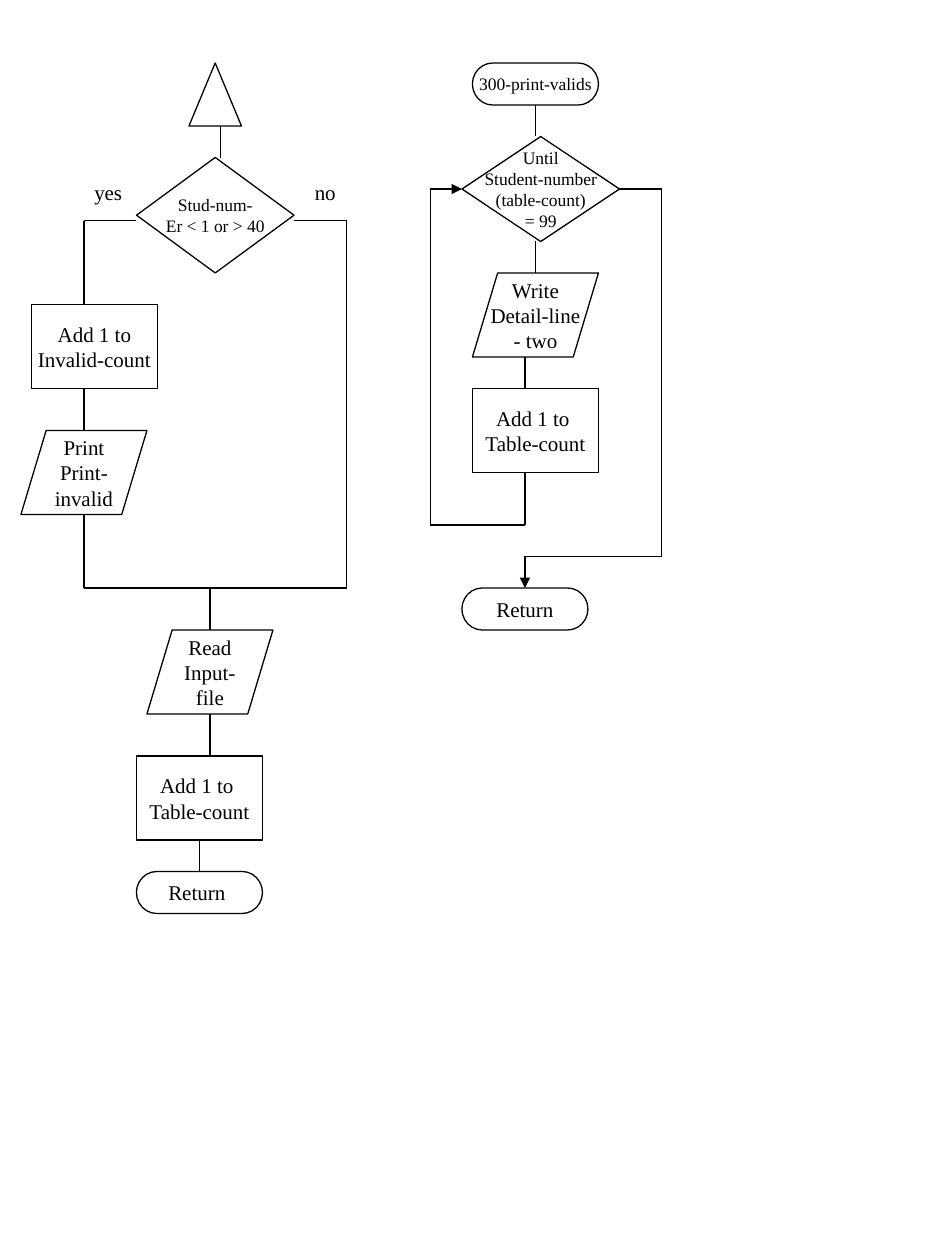
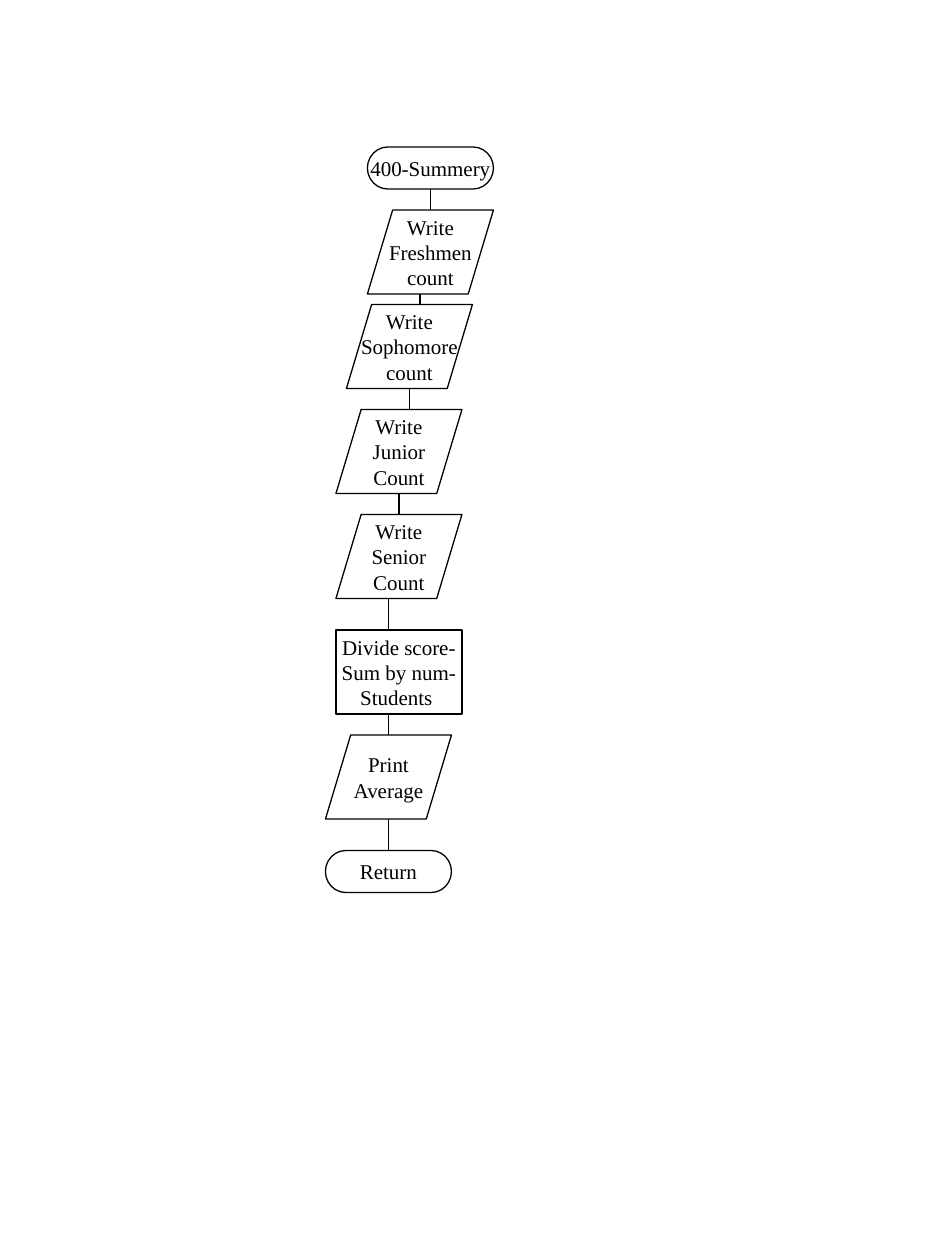
from lxml import etree
from pptx import Presentation
from pptx import util as u
from pptx.dml.color import RGBColor
from pptx.enum import shapes, text
from pptx.oxml import ns

COLORS = {"paper": "FFFFFF", "ink": "000000"}
FONT = "Times New Roman"
COLUMNS, ROWS = 90, 120
CELL = u.Inches(7.5) // COLUMNS

KINDS = {
    "extract": (shapes.MSO_SHAPE.FLOWCHART_EXTRACT, 5, 6),
    "decision": (shapes.MSO_SHAPE.FLOWCHART_DECISION, 15, 10),
    "process": (shapes.MSO_SHAPE.FLOWCHART_PROCESS, 12, 8),
    "data": (shapes.MSO_SHAPE.FLOWCHART_DATA, 12, 8),
    "terminal": (shapes.MSO_SHAPE.FLOWCHART_TERMINATOR, 12, 4),
}
JOINABLE = {"decision", "process", "terminal"}


def color(name):
    return RGBColor.from_string(COLORS[name])


def style_line(line):
    line.color.rgb = color("ink")
    line.width = u.Pt(0.75)


def write(box, lines, size, align):
    frame = box.text_frame
    frame.word_wrap = False
    frame.text = "\n".join(lines)
    for para in frame.paragraphs:
        para.alignment = align
        para.font.name = FONT
        para.font.size = u.Pt(size)
        para.font.color.rgb = color("ink")


class Region:
    def __init__(self, page, left, top):
        self.page, self.left, self.top = page, left, top
        self.sockets = {}

    def place(self, column, row):
        return int(CELL * (self.left + column)), int(CELL * (self.top + row))

    def node(self, kind, column, row, lines=(), size=12, height=None):
        preset, width, usual_height = KINDS[kind]
        height = height or usual_height
        box = self.page.shapes.add_shape(
            preset, *self.place(column, row), CELL * width, CELL * height)
        box.shadow.inherit = False
        box.fill.solid()
        box.fill.fore_color.rgb = color("paper")
        style_line(box.line)
        if lines:
            write(box, lines, size, text.PP_ALIGN.CENTER)
            box.text_frame.vertical_anchor = text.MSO_ANCHOR.MIDDLE
        if kind in JOINABLE:
            middle, center = column + width / 2, row + height / 2
            sides = [(middle, row), (column, center),
                     (middle, row + height), (column + width, center)]
            for site, point in enumerate(sides):
                self.sockets[point] = box, site

    def label(self, column, row, width, words):
        box = self.page.shapes.add_textbox(
            *self.place(column, row), int(CELL * width), int(CELL * 3.6))
        write(box, [words], 12, text.PP_ALIGN.LEFT)

    def route(self, *points, arrow=False):
        for start, end in zip(points, points[1:]):
            link = self.page.shapes.add_connector(
                shapes.MSO_CONNECTOR.STRAIGHT, *self.place(*start), *self.place(*end))
            style_line(link.line)
            etree.SubElement(link._element.spPr, ns.qn("a:effectLst"))
            if start in self.sockets:
                link.begin_connect(*self.sockets[start])
            if end in self.sockets:
                link.end_connect(*self.sockets[end])
        if arrow:
            etree.SubElement(link.line._get_or_add_ln(), ns.qn("a:tailEnd"), type="triangle")


def draw_validity_check(region):
    region.node("extract", 16, 0)
    region.node("decision", 11, 9, ["Stud-num-", "Er < 1 or > 40"], 10, height=11)
    region.node("process", 1, 23, ["Add 1 to", "Invalid-count"])
    region.node("data", 0, 35, ["Print", "Print-", "invalid"])
    region.node("data", 12, 54, ["Read", "Input-", "file"])
    region.node("process", 11, 66, ["Add 1 to ", "Table-count"])
    region.node("terminal", 11, 77, ["Return "])
    region.label(5.8, 10.5, 5.5, "yes")
    region.label(26.8, 10.5, 5, "no")
    region.route((19, 6), (19, 9))
    region.route((11, 15), (6, 15), (6, 23))
    region.route((6, 31), (6, 35))
    region.route((6, 43), (6, 50), (31, 50))
    region.route((26, 15), (31, 15), (31, 50))
    region.route((18, 50), (18, 54))
    region.route((18, 62), (18, 66))
    region.route((17, 74), (17, 77))


def draw_print_loop(region):
    region.node("terminal", 4, 0, ["300-print-valids"], 10)
    region.node("decision", 3, 7, ["Until", "Student-number", "(table-count)", "= 99"], 10)
    region.node("data", 4, 20, ["Write", "Detail-line", "- two"])
    region.node("process", 4, 31, ["Add 1 to ", "Table-count"])
    region.node("terminal", 3, 50, ["Return"])
    region.route((10, 4), (10, 7))
    region.route((10, 17), (10, 20))
    region.route((9, 28), (9, 31))
    region.route((9, 39), (9, 44), (0, 44), (0, 12), (3, 12), arrow=True)
    region.route((18, 12), (22, 12), (22, 47), (9, 47), (9, 50), arrow=True)


def draw_summary(region):
    steps = [
        ("terminal", 4, ["400-Summery"], 10, 2),
        ("data", 4, ["Write", "Freshmen", "count"], 9, 1),
        ("data", 2, ["Write", "Sophomore", "count"], 8, 2),
        ("data", 1, ["Write", "Junior", "Count"], 7, 2),
        ("data", 1, ["Write", "Senior", "Count"], 6, 3),
        ("process", 1, ["Divide score-", "Sum by num-", "Students "], 6, 2),
        ("data", 0, ["Print", "Average"], 6, 3),
        ("terminal", 0, ["Return"], None, 0),
    ]
    row, stems = 0, []
    for kind, column, lines, stem, gap in steps:
        region.node(kind, column, row, lines)
        bottom = row + KINDS[kind][2]
        row = bottom + gap
        if gap:
            stems.append(((stem, bottom), (stem, row)))
    for stem in stems:
        region.route(*stem)


def main():
    deck = Presentation()
    deck.slide_width, deck.slide_height = CELL * COLUMNS, CELL * ROWS
    blank = deck.slide_layouts[6]
    page = deck.slides.add_slide(blank)
    draw_validity_check(Region(page, 2, 6))
    draw_print_loop(Region(page, 41, 6))
    draw_summary(Region(deck.slides.add_slide(blank), 31, 14))
    deck.save("out.pptx")


if __name__ == "__main__":
    main()
